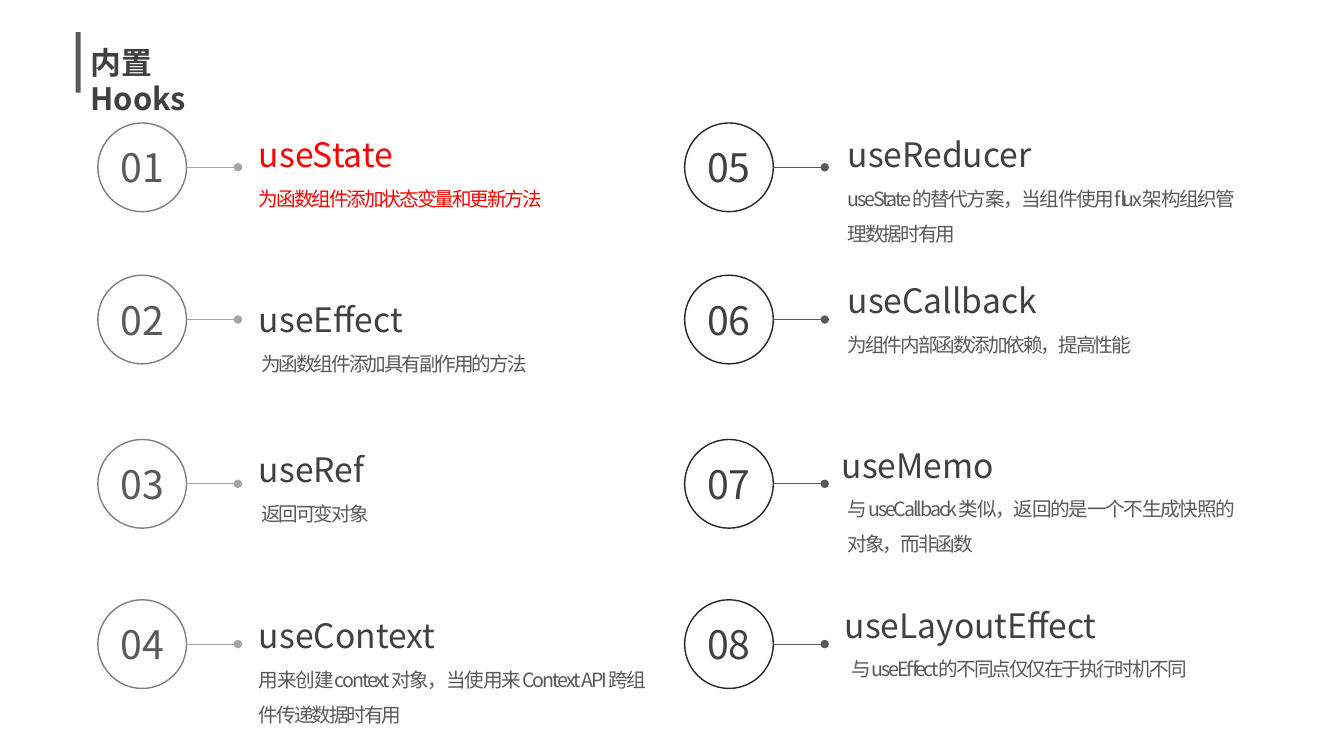
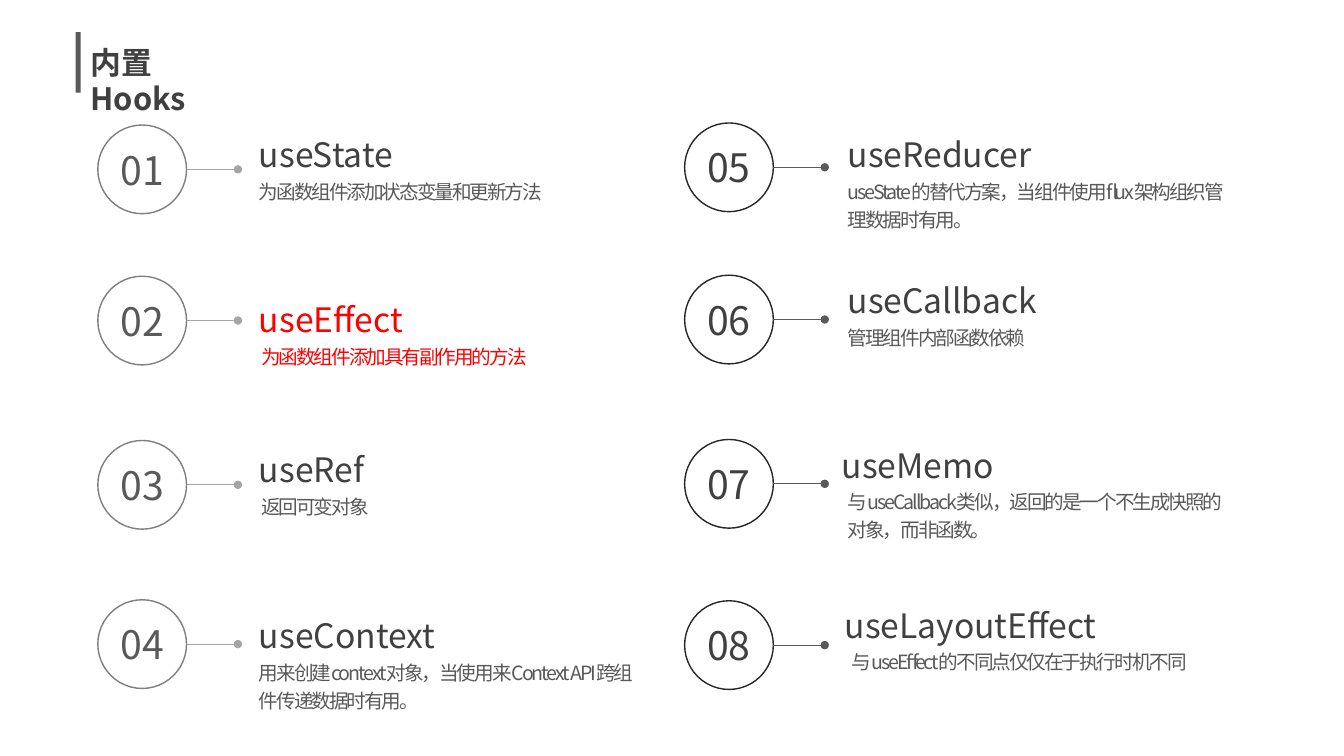
from dataclasses import dataclass

from lxml.etree import SubElement
from pptx import Presentation
from pptx.dml.color import RGBColor
from pptx.enum.shapes import MSO_CONNECTOR, MSO_SHAPE
from pptx.enum.text import MSO_ANCHOR, MSO_AUTO_SIZE, PP_ALIGN
from pptx.oxml.ns import qn
from pptx.util import Inches, Pt

FONT = "Noto Sans CJK SC"
DARK, GREY, ACCENT = "404040", "595959", "FF0000"
RING = 0.88
STEM = 0.51
TEXT_WIDTH = 4.02
LONG_TEXT = 30


@dataclass
class Hook:
    name: str
    purpose: str
    name_at: tuple
    purpose_at: tuple


@dataclass
class Column:
    left: float
    ring_line: str
    stem_line: str
    number_color: str
    first: int
    hooks: list


COLUMNS = [
    Column(0.97, "7F7F7F", "A5A5A5", GREY, 1, [
        Hook("useState", "为函数组件添加状态变量和更新方法", (2.47, 1.28), (2.47, 1.69)),
        Hook("useEffect", " 为函数组件添加具有副作用的方法", (2.47, 2.92), (2.47, 3.33)),
        Hook("useRef", " 返回可变对象", (2.47, 4.4), (2.47, 4.81)),
        Hook("useContext", "用来创建context对象，当使用来Context API跨组件传递数据时有用",
             (2.47, 6.05), (2.47, 6.46)),
    ]),
    Column(6.79, "262626", GREY, DARK, 5, [
        Hook("useReducer", "useState的替代方案，当组件使用flux架构组织管理数据时有用",
             (8.31, 1.28), (8.31, 1.69)),
        Hook("useCallback", "为组件内部函数添加依赖，提高性能", (8.31, 2.73), (8.31, 3.14)),
        Hook("useMemo", "与useCallback类似，返回的是一个不生成快照的对象，而非函数",
             (8.25, 4.36), (8.31, 4.76)),
        Hook("useLayoutEffect", "与useEffect的不同点仅仅在于执行时机不同",
             (8.28, 5.95), (8.35, 6.35)),
    ]),
]


@dataclass
class Version:
    highlight: str
    ring_tops: list
    align: PP_ALIGN
    line_spacing: float
    long_ending: str
    revised: dict


VERSIONS = [
    Version("useState", [(1.22, 2.73, 4.36, 5.95), (1.22, 2.73, 4.36, 5.95)],
            PP_ALIGN.JUSTIFY, 1.5, "", {}),
    Version("useEffect", [(1.24, 2.74, 4.37, 5.95), (1.22, 2.73, 4.36, 5.96)],
            PP_ALIGN.LEFT, 1.2, "。", {"useCallback": "管理组件内部函数依赖"}),
]


def rgb(value):
    return RGBColor.from_string(value)


def write(frame, text, size, color, align=PP_ALIGN.LEFT, bold=False):
    paragraph = frame.paragraphs[0]
    paragraph.text = text
    paragraph.alignment = align
    font = paragraph.font
    font.size, font.bold, font.name = Pt(size), bold, FONT
    font.color.rgb = rgb(color)
    SubElement(font._rPr, qn("a:ea")).set("typeface", FONT)
    return paragraph


def add_text(slide, left, top, width, height, text, size, color, **style):
    box = slide.shapes.add_textbox(*map(Inches, (left, top, width, height)))
    frame = box.text_frame
    frame.word_wrap = True
    frame.auto_size = MSO_AUTO_SIZE.SHAPE_TO_FIT_TEXT
    return frame, write(frame, text, size, color, **style)


def add_title(slide, left, top):
    bar = slide.shapes.add_shape(MSO_SHAPE.RECTANGLE, *map(Inches, (left, top, 0.05, 0.6)))
    bar.shadow.inherit = False
    bar.fill.solid()
    bar.fill.fore_color.rgb = rgb(GREY)
    bar.line.fill.background()
    frame, _ = add_text(slide, left + 0.05, top + 0.06, 1.82, 0.47,
                        "内置Hooks", 22, DARK, bold=True)
    frame.margin_right = Inches(0.4)


def add_marker(slide, column, top, number):
    ring = slide.shapes.add_shape(MSO_SHAPE.OVAL,
                                  *map(Inches, (column.left, top, RING, RING)))
    ring.shadow.inherit = False
    ring.fill.background()
    ring.line.color.rgb = rgb(column.ring_line)
    ring.line.width = Pt(1)
    ring.text_frame.word_wrap = False
    ring.text_frame.vertical_anchor = MSO_ANCHOR.MIDDLE
    write(ring.text_frame, f"{number:02}", 28, column.number_color, PP_ALIGN.CENTER)

    start, middle = column.left + RING, top + RING / 2
    stem = slide.shapes.add_connector(
        MSO_CONNECTOR.STRAIGHT, *map(Inches, (start, middle, start + STEM, middle)))
    stem.line.color.rgb = rgb(column.stem_line)
    stem.line.width = Pt(0.5)
    SubElement(stem.line._get_or_add_ln(), qn("a:tailEnd")).set("type", "oval")
    SubElement(stem._element.spPr, qn("a:effectLst"))


def add_hook(slide, hook, version):
    highlighted = hook.name == version.highlight
    purpose = version.revised.get(hook.name, hook.purpose)
    lines = 1
    if len(purpose) > LONG_TEXT:
        lines = 2
        purpose += version.long_ending
    height = 0.05 + 0.24 * version.line_spacing * lines
    _, paragraph = add_text(slide, *hook.purpose_at, TEXT_WIDTH, height, purpose, 14,
                            ACCENT if highlighted else GREY, align=version.align)
    paragraph.line_spacing = version.line_spacing
    for run in paragraph.runs:
        run._r.get_or_add_rPr().set("spc", "-150")
    add_text(slide, *hook.name_at, TEXT_WIDTH, 0.5, hook.name, 24,
             ACCENT if highlighted else DARK)


def add_hooks_slide(deck, version):
    slide = deck.slides.add_slide(deck.slide_layouts[6])
    add_title(slide, 0.75, 0.32)
    for column, tops in zip(COLUMNS, version.ring_tops):
        for number, (hook, top) in enumerate(zip(column.hooks, tops), column.first):
            add_marker(slide, column, top, number)
            add_hook(slide, hook, version)


deck = Presentation()
deck.slide_width, deck.slide_height = Inches(13.33), Inches(7.5)
for version in VERSIONS:
    add_hooks_slide(deck, version)
deck.save("out.pptx")
